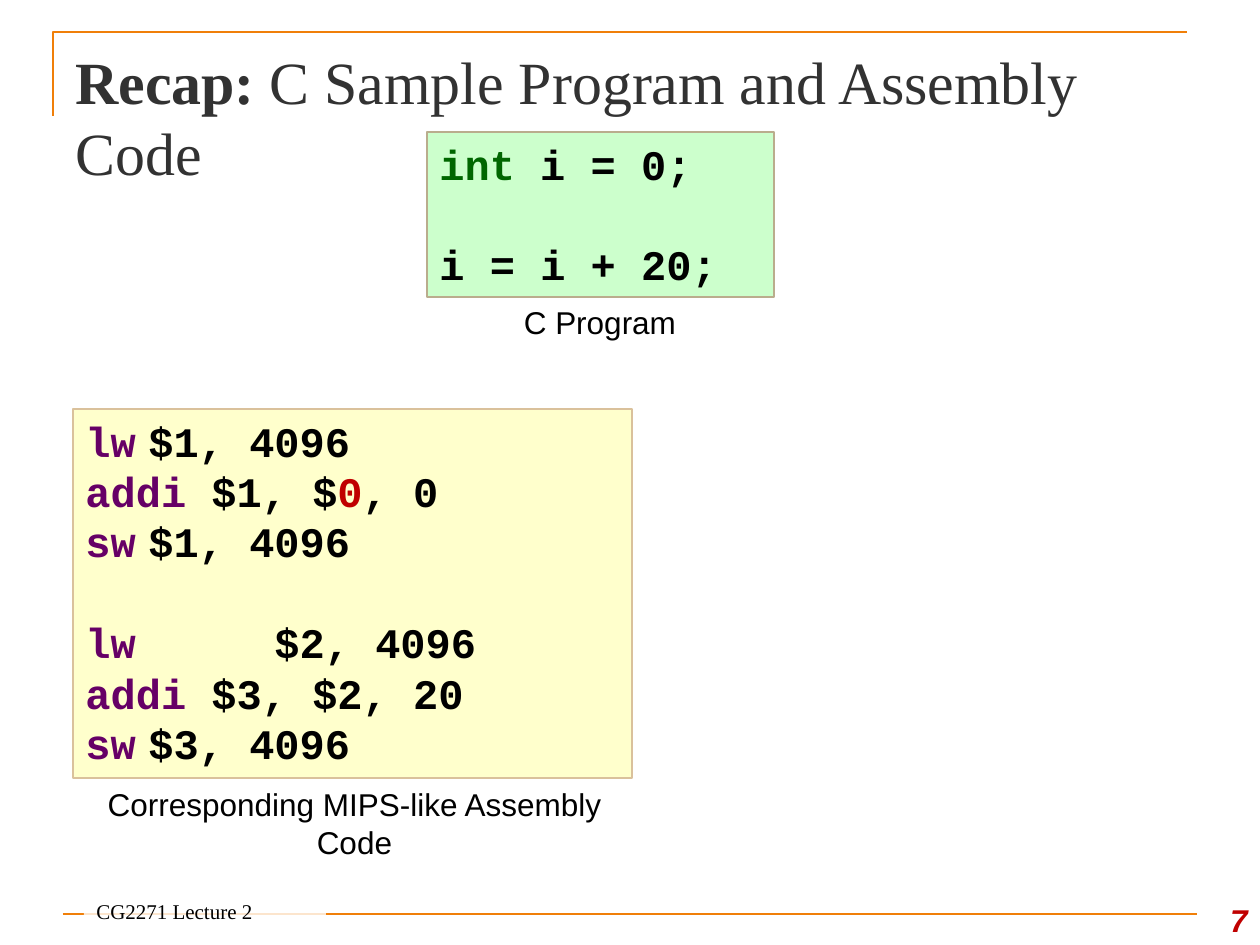
from dataclasses import dataclass

from lxml.etree import SubElement
from pptx import Presentation
from pptx.dml.color import RGBColor
from pptx.enum.shapes import MSO_CONNECTOR, MSO_SHAPE
from pptx.enum.text import MSO_ANCHOR, PP_ALIGN
from pptx.oxml.ns import qn
from pptx.util import Pt

PX = 914400 // 126


@dataclass(frozen=True)
class Theme:
    """Colours, fonts and type sizes of the slide."""
    accent: str = "F07F09"
    title: str = "323232"
    ink: str = "000000"
    keyword: str = "006600"
    opcode: str = "660066"
    alert: str = "C00000"
    white: str = "FFFFFF"
    c_fill: str = "CCFFCC"
    c_line: str = "BAAD8D"
    asm_fill: str = "FFFFCC"
    asm_line: str = "DAC19B"
    serif: str = "Times New Roman"
    sans: str = "Arial"
    mono: str = "Courier New"
    title_size: float = 34.2
    code_size: int = 24
    label_size: int = 18
    footer_size: int = 12


T = Theme()
C_CODE = [
    [("int", T.keyword), (" i = 0;", T.ink)],
    [],
    [("i = i + 20;", T.ink)],
]
ASM_CODE = [
    [("lw", T.opcode), ("\t$1, 4096", T.ink)],
    [("addi", T.opcode), (" $1, $", T.ink), ("0", T.alert), (", 0", T.ink)],
    [("sw", T.opcode), ("\t$1, 4096", T.ink)],
    [],
    [("lw", T.opcode), ("   \t$2, 4096", T.ink)],
    [("addi", T.opcode), (" $3, $2, 20", T.ink)],
    [("sw", T.opcode), ("\t$3, 4096", T.ink)],
]


def px(*values):
    """Turn pixel lengths into EMU."""
    return [v * PX for v in values]


def style(font, color, **formats):
    """Set a font's colour and attributes."""
    font.color.rgb = RGBColor.from_string(color)
    for name, value in formats.items():
        setattr(font, name, value)


def add_runs(p, runs, **formats):
    """Add (text, colour, extra formats) runs to a paragraph."""
    for text, color, *extra in runs:
        r = p.add_run()
        r.text = text
        style(r.font, color, **{**formats, **(extra[0] if extra else {})})


def add_text(s, box, runs, align=PP_ALIGN.LEFT, anchor=MSO_ANCHOR.TOP, **formats):
    """Add a wrapped one-paragraph text box."""
    tf = s.shapes.add_textbox(*px(*box)).text_frame
    tf.word_wrap, tf.vertical_anchor = True, anchor
    p = tf.paragraphs[0]
    p.alignment = align
    add_runs(p, runs, **formats)


def add_panel(s, box, fill, line=None):
    """Add a filled rectangle with an optional thin outline."""
    sp = s.shapes.add_shape(MSO_SHAPE.RECTANGLE, *px(*box))
    sp.shadow.inherit = False
    sp.fill.solid()
    sp.fill.fore_color.rgb = RGBColor.from_string(fill)
    if line:
        sp.line.color.rgb = RGBColor.from_string(line)
        sp.line.width = Pt(0.75)
    else:
        sp.line.fill.background()
    sp.text_frame.word_wrap = True
    return sp


def add_code(s, box, lines, fill, line):
    """Add a panel of coloured code lines."""
    tf = add_panel(s, box, fill, line).text_frame
    tf.vertical_anchor = MSO_ANCHOR.TOP
    for i, runs in enumerate(lines):
        p = tf.add_paragraph() if i else tf.paragraphs[0]
        p.alignment = PP_ALIGN.LEFT
        formats = dict(name=T.mono, size=Pt(T.code_size), bold=True)
        style(p.font, T.ink, **formats)
        add_runs(p, runs, **formats)


def add_caption(s, box, text):
    """Add a centred caption."""
    add_text(s, box, [(text, T.ink)], PP_ALIGN.CENTER,
             name=T.sans, size=Pt(T.label_size))


def add_rules(s):
    """Add the corner rule and the footer rule."""
    fb = s.shapes.build_freeform(*px(53, 116))
    fb.add_line_segments([px(53, 32), px(1187, 32)], close=False)
    corner = fb.convert_to_shape()
    corner.shadow.inherit = False
    corner.fill.background()
    rule = s.shapes.add_connector(MSO_CONNECTOR.STRAIGHT, *px(63, 914, 1197, 914))
    SubElement(rule._element.spPr, qn("a:effectLst"))
    for sp in (corner, rule):
        sp.line.color.rgb = RGBColor.from_string(T.accent)
        sp.line.width = Pt(1.5)


def add_footer(s):
    """Add the translucent footer label and the page number."""
    sp = add_panel(s, (84, 898, 242, 32), T.white)
    color = sp._element.spPr.find(qn("a:solidFill"))[0]
    SubElement(color, qn("a:alpha"), val="80000")
    tf = sp.text_frame
    tf.vertical_anchor = MSO_ANCHOR.BOTTOM
    p = tf.paragraphs[0]
    p.alignment = PP_ALIGN.LEFT
    add_runs(p, [("CG2271 Lecture 2", T.ink)], name=T.serif, size=Pt(T.footer_size))
    add_text(s, (1187, 882, 73, 63), [("7", T.alert)], PP_ALIGN.RIGHT,
             MSO_ANCHOR.BOTTOM, name=T.sans, size=Pt(T.label_size),
             bold=True, italic=True)


def main():
    """Build the slide and save it."""
    prs = Presentation()
    prs.slide_width, prs.slide_height = px(1260, 945)
    s = prs.slides.add_slide(prs.slide_layouts[6])
    add_rules(s)
    add_text(s, (63, 38, 1134, 98),
             [("Recap: ", T.title, {"bold": True}),
              ("C Sample Program and Assembly Code", T.title)],
             name=T.serif, size=Pt(T.title_size))
    add_code(s, (427, 132, 347, 165), C_CODE, T.c_fill, T.c_line)
    add_caption(s, (479, 297, 242, 50), "C Program")
    add_code(s, (73, 409, 559, 369), ASM_CODE, T.asm_fill, T.asm_line)
    add_caption(s, (76, 779, 557, 89), "Corresponding MIPS-like Assembly Code")
    add_footer(s)
    prs.save("out.pptx")


if __name__ == "__main__":
    main()
